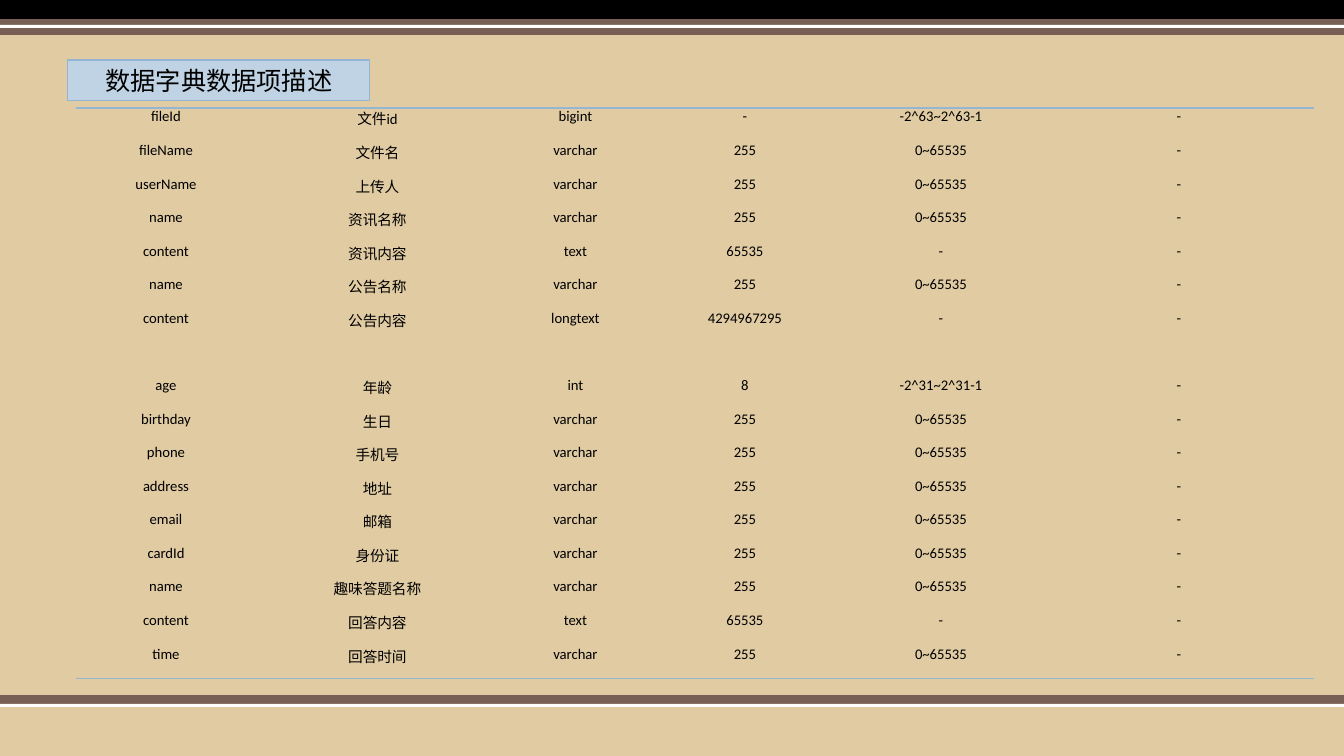
from lxml import etree
from pptx import Presentation
from pptx.dml.color import RGBColor
from pptx.enum.shapes import MSO_SHAPE
from pptx.enum.text import MSO_ANCHOR, PP_ALIGN
from pptx.oxml.ns import qn
from pptx.util import Emu, Pt

RECT = MSO_SHAPE.RECTANGLE
CENTER = PP_ALIGN.CENTER
TOP, MIDDLE = MSO_ANCHOR.TOP, MSO_ANCHOR.MIDDLE

SLIDE_W, SLIDE_H = 1344, 756
EMU_PER_PX = 12192000 / SLIDE_W
PLAIN_TABLE = "{2D5ABB26-0587-4C30-8999-92F81FD0307C}"

COLORS = {
    "sand": "E0CBA3",
    "brown": "775F55",
    "white": "FFFFFF",
    "black": "000000",
    "pale_blue": "BFD3E4",
    "blue": "94B6D2",
}

# Length, value range and default of each data type
TYPES = {
    "bigint": ("-", "-2^63~2^63-1", "-"),
    "int": ("8", "-2^31~2^31-1", "-"),
    "varchar": ("255", "0~65535", "-"),
    "text": ("65535", "-", "-"),
    "longtext": ("4294967295", "-", "-"),
}

# Field, description, data type
FIELDS = [
    ("fileId", "文件id", "bigint"),
    ("fileName", "文件名", "varchar"),
    ("userName", "上传人", "varchar"),
    ("name", "资讯名称", "varchar"),
    ("content", "资讯内容", "text"),
    ("name", "公告名称", "varchar"),
    ("content", "公告内容", "longtext"),
    ("age", "年龄", "int"),
    ("birthday", "生日", "varchar"),
    ("phone", "手机号", "varchar"),
    ("address", "地址", "varchar"),
    ("email", "邮箱", "varchar"),
    ("cardId", "身份证", "varchar"),
    ("name", "趣味答题名称", "varchar"),
    ("content", "回答内容", "text"),
    ("time", "回答时间", "varchar"),
]
COLUMN_WIDTHS = [180, 243, 153, 186, 206, 270]
TABLE_HEIGHT = 571
DOUBLE_ROW = 6  # the row that is twice as high

# Left, top, width, height, colour
BARS = [
    (0, 695, SLIDE_W, 11, "brown"),
    (0, 704, SLIDE_W, 3, "white"),
    (0, 0, SLIDE_W, 19, "black"),
    (0, 19, SLIDE_W, 16, "brown"),
    (0, 25, SLIDE_W, 3, "white"),
]


def px(n):
    return Emu(round(n * EMU_PER_PX))


def rgb(name):
    return RGBColor.from_string(COLORS[name])


class SlideBuilder:
    """Holds the text style and the current slide."""

    title_font, title_size = "Times New Roman", 18
    cell_font, cell_size = "Calibri", 10.5

    def __init__(self, prs):
        self.slide = prs.slides.add_slide(prs.slide_layouts[5])

    def background(self, color):
        fill = self.slide.background.fill
        fill.solid()
        fill.fore_color.rgb = rgb(color)

    def bar(self, x, y, w, h, color):
        sp = self.slide.shapes.add_shape(RECT, px(x), px(y), px(w), px(h))
        sp.shadow.inherit = False
        sp.fill.solid()
        sp.fill.fore_color.rgb = rgb(color)
        sp.line.fill.background()

    def set_text(self, tf, text, font, size):
        p = tf.paragraphs[0]
        p.text = text
        p.alignment = CENTER
        p.font.name = font
        p.font.size = Pt(size)
        p.font.color.rgb = rgb("black")

    def title(self, x, y, w, h, text):
        sp = self.slide.shapes.title
        sp.left, sp.top, sp.width, sp.height = px(x), px(y), px(w), px(h)
        sp.fill.solid()
        sp.fill.fore_color.rgb = rgb("pale_blue")
        sp.line.color.rgb = rgb("blue")
        sp.line.width = Pt(0.75)
        sp.text_frame.vertical_anchor = MIDDLE
        self.set_text(sp.text_frame, text, self.title_font, self.title_size)

    def border(self, cell, side):
        ln = etree.Element(qn(f"a:{side}"), w=str(Pt(1)))
        fill = etree.SubElement(ln, qn("a:solidFill"))
        etree.SubElement(fill, qn("a:srgbClr"), val=COLORS["blue"])
        # Borders come before the fill in the cell properties
        cell._tc.get_or_add_tcPr().insert(0, ln)

    def table(self, x, y, h, widths, weights, rows):
        frame = self.slide.shapes.add_table(
            len(rows), len(widths), px(x), px(y), px(sum(widths)), px(h))
        tbl = frame.table
        tbl.first_row = tbl.horz_banding = False
        tbl._tbl.tblPr.find(qn("a:tableStyleId")).text = PLAIN_TABLE
        for column, width in zip(tbl.columns, widths):
            column.width = px(width)
        for row, weight in zip(tbl.rows, weights):
            row.height = px(h * weight / sum(weights))
        for i, values in enumerate(rows):
            for j, text in enumerate(values):
                cell = tbl.cell(i, j)
                cell.margin_left = cell.margin_right = px(7)
                cell.margin_top = cell.margin_bottom = 0
                cell.vertical_anchor = TOP
                cell.fill.background()
                self.set_text(cell.text_frame, text, self.cell_font, self.cell_size)
                if i == 0:
                    self.border(cell, "lnT")
                elif i == len(rows) - 1:
                    self.border(cell, "lnB")


def main():
    prs = Presentation()
    prs.slide_width, prs.slide_height = px(SLIDE_W), px(SLIDE_H)
    s = SlideBuilder(prs)

    # Background and bars
    s.background("sand")
    for bar in BARS:
        s.bar(*bar)

    # Title
    s.title(68, 60, 302, 41, "数据字典数据项描述")

    # Data dictionary
    rows = [field + TYPES[field[2]] for field in FIELDS]
    weights = [2 if i == DOUBLE_ROW else 1 for i in range(len(rows))]
    s.table(76, 108, TABLE_HEIGHT, COLUMN_WIDTHS, weights, rows)

    prs.save("out.pptx")


if __name__ == "__main__":
    main()
